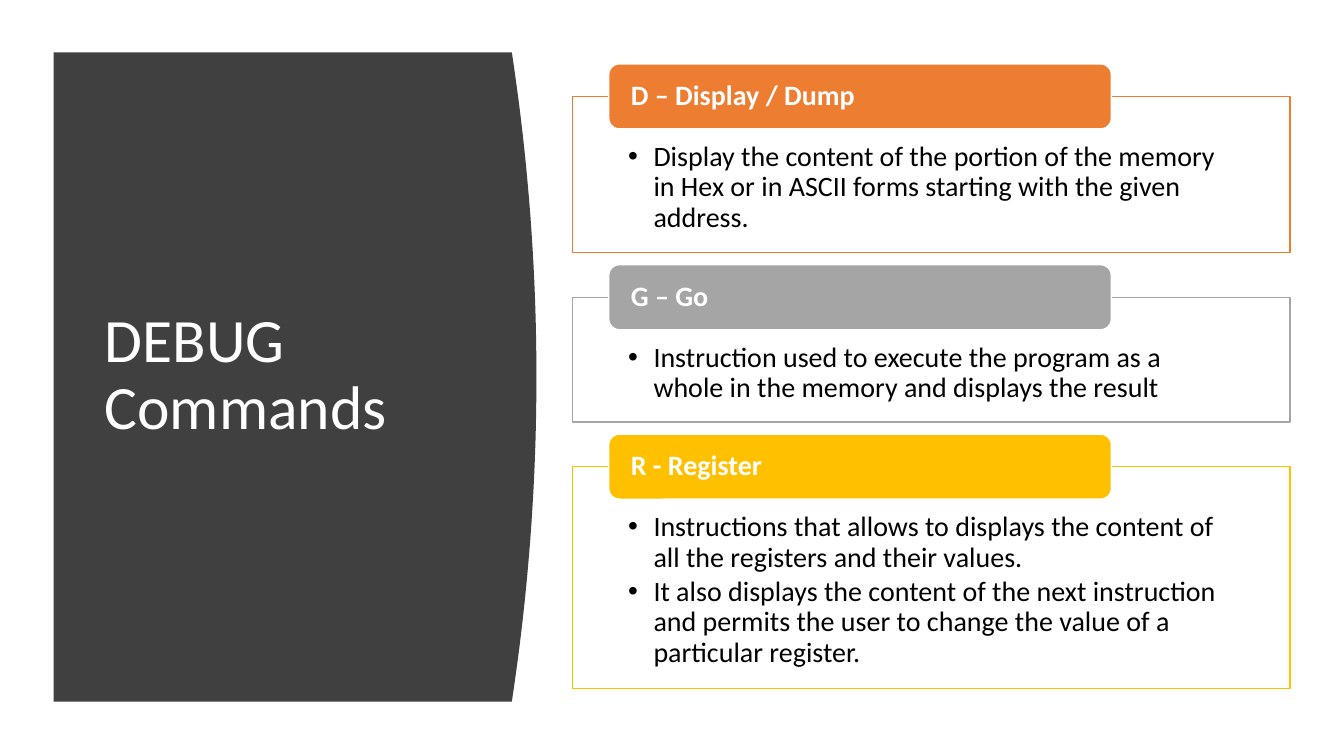
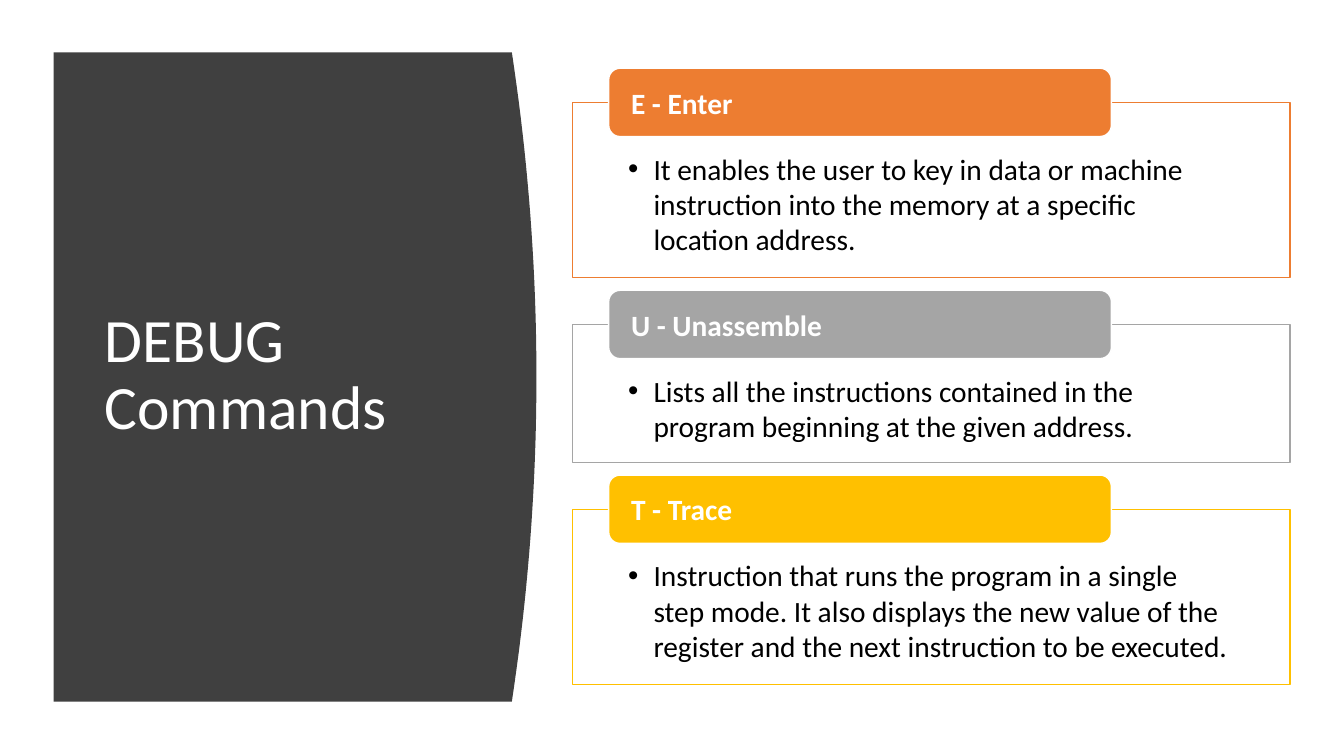
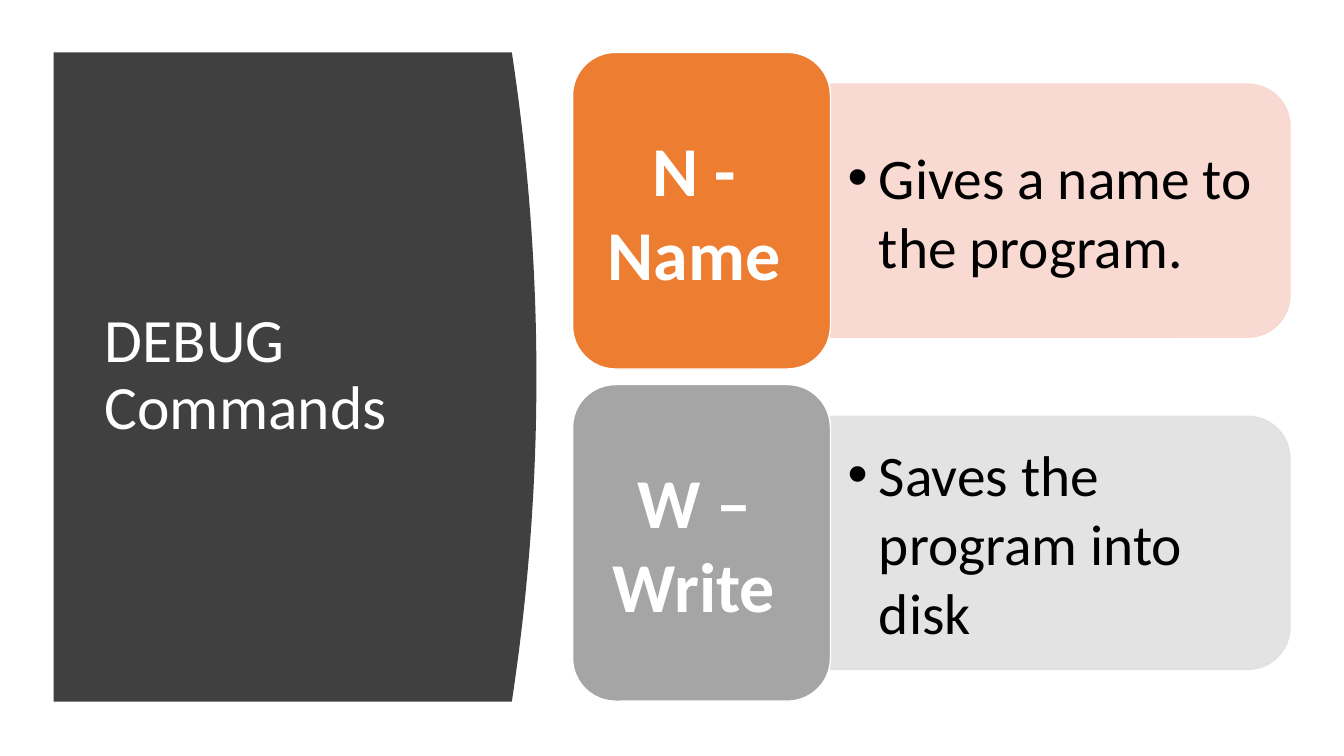
from lxml import etree
from pptx import Presentation
from pptx import util as u
from pptx.dml import color
from pptx.enum import shapes, text
from pptx.oxml import ns

# Shared look
FONT = "Calibri"
WHITE = color.RGBColor(0xFF, 0xFF, 0xFF)
BLACK = color.RGBColor(0x00, 0x00, 0x00)
CHARCOAL = color.RGBColor(0x40, 0x40, 0x40)
ORANGE = color.RGBColor(0xED, 0x7D, 0x31)
GRAY = color.RGBColor(0xA5, 0xA5, 0xA5)
GOLD = color.RGBColor(0xFF, 0xC0, 0x00)
PALE_ORANGE = color.RGBColor(0xF8, 0xD7, 0xCE)
PALE_GRAY = color.RGBColor(0xE1, 0xE1, 0xE1)
ACCENTS = (ORANGE, GRAY, GOLD)

# Shared geometry, in centimetres
PANEL_LEFT, PANEL_TOP, PANEL_BOTTOM = 1.35, 1.32, 17.68
PANEL_EDGE, PANEL_BULGE = 12.9, 0.62
CONTENT_LEFT, CONTENT_WIDTH = 14.43, 18.08


def set_alpha(fill, percent):
    """Make a solid fill partly transparent."""
    color_element = fill._xPr.find(ns.qn("a:solidFill"))[0]
    etree.SubElement(color_element, ns.qn("a:alpha"), val=str(percent * 1000))


def add_box(slide, kind, left, top, width, height, fill, line, alpha=None):
    shape = slide.shapes.add_shape(
        kind, u.Cm(left), u.Cm(top), u.Cm(width), u.Cm(height))
    shape.shadow.inherit = False
    shape.fill.solid()
    shape.fill.fore_color.rgb = fill
    shape.line.color.rgb = line
    shape.line.width = u.Pt(1)
    if alpha:
        set_alpha(shape.fill, alpha)
    return shape


def add_text_box(slide, left, top, width, height):
    return slide.shapes.add_textbox(
        u.Cm(left), u.Cm(top), u.Cm(width), u.Cm(height))


def write(shape, *lines, size, ink=WHITE, bold=False, spacing=1.0, after=0,
          align=text.PP_ALIGN.LEFT, anchor=text.MSO_ANCHOR.MIDDLE,
          insets=(0.25, 0.13, 0.25, 0.13), bullet_indent=None):
    """Write one paragraph per line; insets are left, top, right, bottom."""
    frame = shape.text_frame
    frame.word_wrap = True
    frame.vertical_anchor = anchor
    (frame.margin_left, frame.margin_top,
     frame.margin_right, frame.margin_bottom) = map(u.Cm, insets)
    for index, line in enumerate(lines):
        paragraph = frame.add_paragraph() if index else frame.paragraphs[0]
        paragraph.alignment = align
        paragraph.line_spacing = spacing
        paragraph.space_after = u.Pt(after)
        run = paragraph.add_run()
        run.text = line
        run.font.name = FONT
        run.font.size = u.Pt(size)
        run.font.bold = bold
        run.font.color.rgb = ink
        if bullet_indent:
            properties = paragraph._p.get_or_add_pPr()
            properties.set("marL", str(u.Cm(bullet_indent)))
            properties.set("indent", str(-u.Cm(bullet_indent)))
            etree.SubElement(properties, ns.qn("a:buFont"), typeface="Arial")
            etree.SubElement(properties, ns.qn("a:buChar"), char="•")


def add_titled_slide(presentation, title):
    """Add a slide with the dark panel, bulging to the right, and its title."""
    slide = presentation.slides.add_slide(presentation.slide_layouts[6])
    steps = 40
    height = PANEL_BOTTOM - PANEL_TOP
    edge = []
    for step in range(steps + 1):
        offset = 2 * step / steps - 1
        edge.append((u.Cm(PANEL_EDGE + PANEL_BULGE * (1 - offset ** 2)),
                     u.Cm(PANEL_TOP + height * step / steps)))
    builder = slide.shapes.build_freeform(u.Cm(PANEL_LEFT), u.Cm(PANEL_TOP))
    builder.add_line_segments(edge + [(u.Cm(PANEL_LEFT), u.Cm(PANEL_BOTTOM))])
    panel = builder.convert_to_shape()
    panel.shadow.inherit = False
    panel.fill.solid()
    panel.fill.fore_color.rgb = CHARCOAL
    panel.line.fill.background()

    title_box = add_text_box(slide, 2.39, 2.82, 9.5, 13.31)
    write(title_box, title, size=44, spacing=0.9)
    return slide


def add_command_stack(slide, top, size, spacing, commands):
    """Stack outlined boxes, each with a tab centred on its top edge."""
    tab_height, gap = 0.082 * size, 0.015 * size
    for accent, (name, box_height, lines) in zip(ACCENTS, commands):
        box_top = top + tab_height / 2
        box = add_box(slide, shapes.MSO_SHAPE.RECTANGLE, CONTENT_LEFT, box_top,
                      CONTENT_WIDTH, box_height, WHITE, accent, alpha=90)
        write(box, *lines, size=size, ink=BLACK, spacing=spacing,
              after=0.15 * size, anchor=text.MSO_ANCHOR.TOP,
              insets=(1.4, 0.058 * size, 1.4, 0.4), bullet_indent=0.64)
        tab = add_box(slide, shapes.MSO_SHAPE.ROUNDED_RECTANGLE, 15.34, top,
                      12.67, tab_height, accent, WHITE)
        write(tab, name, size=size, bold=True, spacing=spacing,
              insets=(0.48, 0, 0.48, 0))
        top = box_top + box_height + gap


def add_command_row(slide, top, accent, tint, name, description):
    """Put a large name block beside a panel rounded on its right side."""
    block_width, block_height, panel_height = 6.5, 7.98, 6.38
    panel_left = CONTENT_LEFT + block_width
    panel_width = CONTENT_WIDTH - block_width
    middle = top + block_height / 2

    # The panel is drawn upright, then turned about its centre
    panel = add_box(slide, shapes.MSO_SHAPE.ROUND_2_SAME_RECTANGLE,
                    panel_left + (panel_width - panel_height) / 2,
                    middle - panel_width / 2, panel_height, panel_width,
                    tint, tint, alpha=90)
    set_alpha(panel.line.fill, 90)
    panel.rotation = 90
    text_height = 5.76
    description_box = add_text_box(
        slide, panel_left, middle - text_height / 2, 11.28, text_height)
    write(description_box, description, size=41, ink=BLACK,
          insets=(0.43, 0.23, 0.43, 0.23), bullet_indent=0.79)

    block = add_box(slide, shapes.MSO_SHAPE.ROUNDED_RECTANGLE, CONTENT_LEFT,
                    top, block_width, block_height, accent, WHITE)
    write(block, name, size=50, bold=True, align=text.PP_ALIGN.CENTER,
          insets=(0.53, 0.25, 0.9, 0.25))


def main():
    presentation = Presentation()
    presentation.slide_width = u.Cm(33.87)
    presentation.slide_height = u.Cm(19.05)
    title = "DEBUG Commands"

    # Display, go, register
    slide = add_titled_slide(presentation, title)
    add_command_stack(slide, top=1.61, size=20, spacing=0.9, commands=[
        ("D – Display / Dump", 3.94, [
            "Display the content of the portion of the memory in Hex or in "
            "ASCII forms starting with the given address."]),
        ("G – Go", 3.15, [
            "Instruction used to execute the program as a whole in the memory "
            "and displays the result"]),
        ("R - Register", 5.59, [
            "Instructions that allows to displays the content of all the "
            "registers and their values.",
            "It also displays the content of the next instruction and permits "
            "the user to change the value of a particular register."]),
    ])

    # Enter, unassemble, trace
    slide = add_titled_slide(presentation, title)
    add_command_stack(slide, top=1.72, size=21, spacing=1.0, commands=[
        ("E - Enter", 4.42, [
            "It enables the user to key in data or machine instruction into "
            "the memory at a specific location address."]),
        ("U - Unassemble", 3.48, [
            "Lists all the instructions contained in the program beginning at "
            "the given address."]),
        ("T - Trace", 4.42, [
            "Instruction that runs the program in a single step mode. It also "
            "displays the new value of the register and the next instruction "
            "to be executed."]),
    ])

    # Name, write
    slide = add_titled_slide(presentation, title)
    rows = [
        (ORANGE, PALE_ORANGE, "N - Name", "Gives a name to the program."),
        (GRAY, PALE_GRAY, "W – Write", "Saves the program into disk"),
    ]
    for index, row in enumerate(rows):
        add_command_row(slide, PANEL_TOP + index * 8.37, *row)

    presentation.save("out.pptx")


if __name__ == "__main__":
    main()
